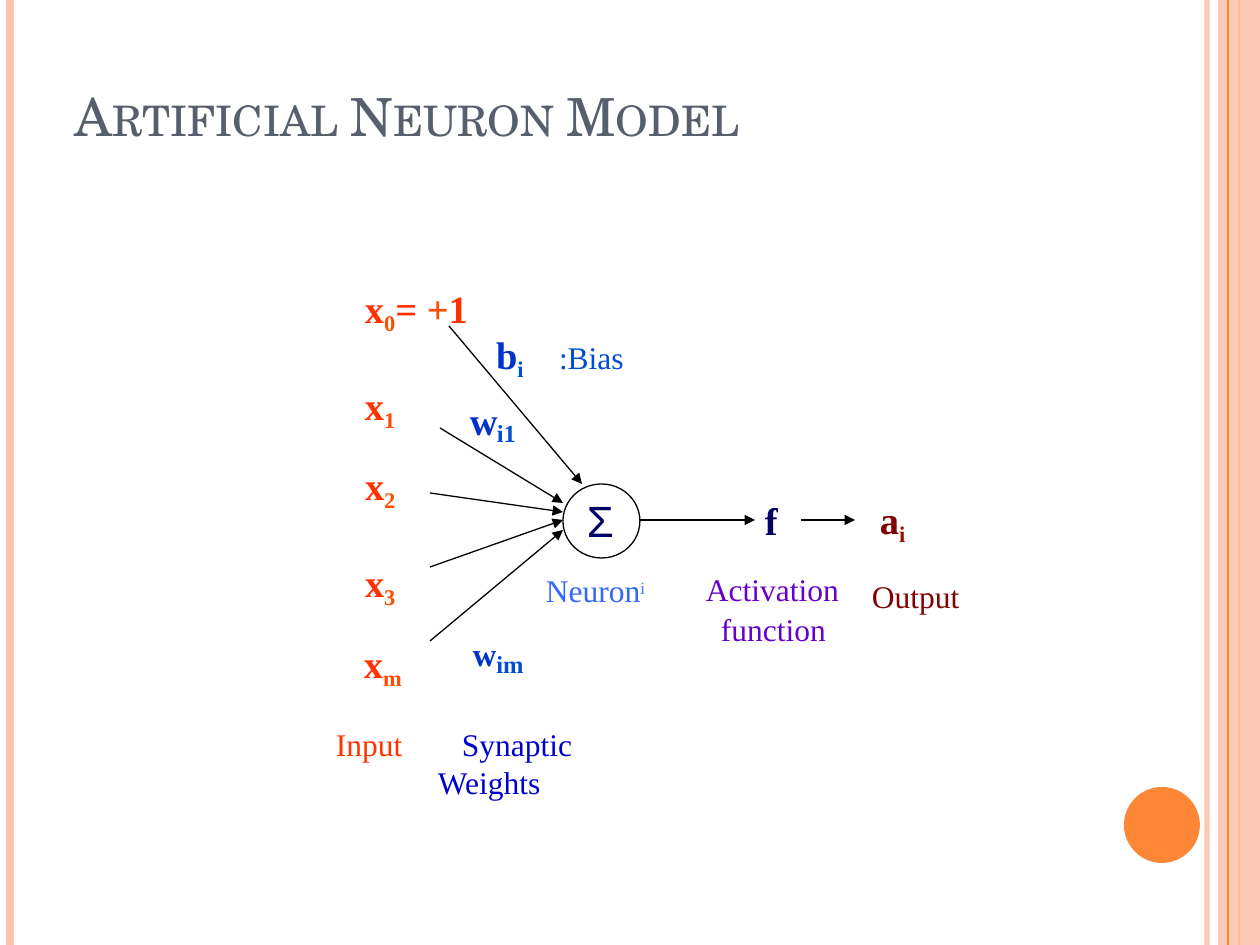
from dataclasses import dataclass

from lxml import etree
from pptx import Presentation
from pptx.dml.color import RGBColor
from pptx.enum.shapes import MSO_CONNECTOR, MSO_SHAPE
from pptx.enum.text import MSO_ANCHOR
from pptx.oxml.ns import qn
from pptx.util import Emu, Pt

STRAIGHT = MSO_CONNECTOR.STRAIGHT
RECTANGLE, OVAL = MSO_SHAPE.RECTANGLE, MSO_SHAPE.OVAL
TOP, BOTTOM = MSO_ANCHOR.TOP, MSO_ANCHOR.BOTTOM

PX_PER_INCH = 126
WIDTH, HEIGHT = 1260, 945
SERIF, SANS, TITLE_FONT = "Times New Roman", "Arial", "TeX Gyre Schola"

BLACK = RGBColor(0x00, 0x00, 0x00)
PEACH = RGBColor(0xFE, 0xC3, 0xAE)
ORANGE = RGBColor(0xFE, 0x86, 0x37)
SLATE = RGBColor(0x57, 0x5F, 0x6D)
RED = RGBColor(0xFF, 0x33, 0x00)
LIGHT_RED = RGBColor(0xFF, 0x4C, 0x00)
BLUE = RGBColor(0x00, 0x33, 0xCC)
LIGHT_BLUE = RGBColor(0x00, 0x4D, 0xD6)
NEURON_BLUE = RGBColor(0x33, 0x66, 0xFF)
INDEX_BLUE = RGBColor(0x41, 0x80, 0xFF)
WEIGHT_BLUE = RGBColor(0x00, 0x00, 0xCC)
NAVY = RGBColor(0x00, 0x00, 0x66)
MAROON = RGBColor(0x80, 0x00, 0x00)
LIGHT_MAROON = RGBColor(0x94, 0x11, 0x00)
PURPLE = RGBColor(0x66, 0x00, 0xCC)


@dataclass(frozen=True)
class Piece:
    text: str
    size: int
    color: RGBColor
    bold: bool = False
    baseline: int = 0
    small_caps: bool = False


@dataclass(frozen=True)
class Line:
    pieces: tuple
    left: int = 1
    first: int = 0
    before: float = 0
    tab: int = 0
    spacing: float = 1.0


@dataclass(frozen=True)
class Label:
    left: int
    top: int
    width: int
    height: int
    lines: tuple
    font: str = SERIF
    anchor: MSO_ANCHOR = TOP


@dataclass(frozen=True)
class Stroke:
    start: tuple
    end: tuple
    color: RGBColor = BLACK
    weight: float = 0.75
    arrow: bool = False
    opacity: int = 100


def px(value: int) -> Emu:
    return Emu(round(value * 914400 / PX_PER_INCH))


def symbol(name: str, index: str, color: RGBColor, index_color: RGBColor) -> tuple:
    return (Piece(name, 22, color, True), Piece(index, 22, index_color, True, -21))


def input_symbol(index: str) -> tuple:
    return symbol("x", index, RED, LIGHT_RED)


def vertical(x: int, color: RGBColor, weight: float, opacity: int = 100) -> Stroke:
    return Stroke((x, 0), (x, HEIGHT), color, weight, opacity=opacity)


def arrow(start: tuple, end: tuple) -> Stroke:
    return Stroke(start, end, arrow=True)


def set_opacity(properties, opacity: int) -> None:
    color = properties.find(".//" + qn("a:srgbClr"))
    etree.SubElement(color, qn("a:alpha"), val=str(opacity * 1000))


def draw_stroke(slide, stroke: Stroke) -> None:
    ends = [px(value) for value in stroke.start + stroke.end]
    connector = slide.shapes.add_connector(STRAIGHT, *ends)
    connector.line.color.rgb = stroke.color
    connector.line.width = Pt(stroke.weight)
    properties = connector._element.spPr
    if stroke.opacity < 100:
        set_opacity(properties, stroke.opacity)
    if stroke.arrow:
        etree.SubElement(properties.find(qn("a:ln")), qn("a:tailEnd"), type="triangle")
    etree.SubElement(properties, qn("a:effectLst"))


def draw_shape(slide, kind: MSO_SHAPE, box: tuple, fill=None, line=None):
    shape = slide.shapes.add_shape(kind, *[px(value) for value in box])
    shape.shadow.inherit = False
    if fill is None:
        shape.fill.background()
    else:
        shape.fill.solid()
        shape.fill.fore_color.rgb = fill
    if line is None:
        shape.line.fill.background()
    else:
        shape.line.color.rgb = line
        shape.line.width = Pt(0.75)
    return shape


def write_line(paragraph, line: Line, font: str) -> None:
    if line.before:
        paragraph.space_before = Pt(line.before)
    if line.spacing != 1.0:
        paragraph.line_spacing = line.spacing
    properties = paragraph._p.get_or_add_pPr()
    properties.set("marL", str(px(line.left)))
    properties.set("indent", str(px(line.first)))
    if line.tab:
        tabs = etree.SubElement(properties, qn("a:tabLst"))
        etree.SubElement(tabs, qn("a:tab"), pos=str(px(line.tab)), algn="l")
    for piece in line.pieces:
        run = paragraph.add_run()
        run.text = piece.text
        run.font.name = font
        run.font.size = Pt(piece.size)
        run.font.bold = piece.bold
        run.font.color.rgb = piece.color
        if piece.baseline:
            run.font._element.set("baseline", str(piece.baseline * 1000))
        if piece.small_caps:
            run.font._element.set("cap", "small")


def draw_label(slide, label: Label) -> None:
    box = (label.left, label.top, label.width, label.height)
    text_frame = slide.shapes.add_textbox(*[px(value) for value in box]).text_frame
    text_frame.word_wrap = True
    text_frame.vertical_anchor = label.anchor
    text_frame.margin_left = text_frame.margin_right = text_frame.margin_bottom = 0
    text_frame.margin_top = px(1)
    for index, line in enumerate(label.lines):
        paragraph = text_frame.add_paragraph() if index else text_frame.paragraphs[0]
        write_line(paragraph, line, label.font)


BARS = (vertical(1207, PEACH, 3, 93), vertical(10, PEACH, 4.5), vertical(1239, ORANGE, 1.5))
ARROWS = (
    arrow((449, 326), (582, 484)),
    arrow((440, 428), (563, 503)),
    arrow((430, 493), (563, 512)),
    arrow((430, 567), (563, 520)),
    arrow((430, 641), (563, 530)),
    arrow((640, 520), (755, 520)),
    arrow((801, 520), (855, 520)),
)
INPUT_ZERO = input_symbol("0") + (
    Piece("= ", 22, RED, True), Piece("+", 22, LIGHT_RED, True), Piece("1", 22, RED, True))
LABELS = (
    Label(74, 81, 806, 66, (Line((Piece("Artificial Neuron Model", 30, SLATE, small_caps=True),)),),
          TITLE_FONT, BOTTOM),
    Label(541, 570, 111, 40, (Line((Piece("Neuron", 18, NEURON_BLUE),
                                    Piece("i", 17, INDEX_BLUE, baseline=26)), 5),)),
    Label(867, 495, 98, 116, (Line(symbol("a", "i", MAROON, LIGHT_MAROON), 13),
                              Line((Piece("Output", 18, MAROON),), 5, before=17))),
    Label(586, 493, 30, 55, (Line((Piece("Σ", 25, NAVY),)),), SANS),
    Label(360, 284, 113, 141, (Line(INPUT_ZERO, 5), Line(input_symbol("1"), 5, before=26.5))),
    Label(360, 461, 42, 141, (Line(input_symbol("2"), 5), Line(input_symbol("3"), 5, before=26.5))),
    Label(330, 639, 260, 160, (
        Line(input_symbol("m"), 34),
        Line((Piece("Input\t", 18, RED), Piece("Synaptic", 18, WEIGHT_BLUE)), 6, before=19.7, tab=112),
        Line((Piece("Weights", 18, WEIGHT_BLUE),), 108))),
    Label(469, 396, 30, 48, (Line((Piece("w", 22, BLUE, True),)),)),
    Label(496, 417, 23, 32, (Line((Piece("i1", 14, LIGHT_BLUE, True),)),)),
    Label(468, 617, 66, 48, (Line((Piece("w", 32, BLUE, True, 14),
                                   Piece("im", 14, LIGHT_BLUE, True)), 5),)),
    Label(704, 567, 137, 81, (Line((Piece("Activation function", 18, PURPLE),), 17, -15, spacing=1.05),)),
    Label(764, 496, 18, 48, (Line((Piece("f", 22, NAVY, True),)),)),
    Label(490, 330, 160, 48, (Line(symbol("b", "i\t", BLUE, LIGHT_BLUE)
                                   + (Piece(":Bias", 18, LIGHT_BLUE),), 6, tab=59),)),
)


def main() -> None:
    presentation = Presentation()
    presentation.slide_width, presentation.slide_height = px(WIDTH), px(HEIGHT)
    slide = presentation.slides.add_slide(presentation.slide_layouts[6])
    for bar in BARS:
        draw_stroke(slide, bar)
    band = draw_shape(slide, RECTANGLE, (1218, 0, 42, HEIGHT), PEACH)
    set_opacity(band._element.spPr, 87)
    draw_stroke(slide, vertical(1228, ORANGE, 0.75))
    draw_shape(slide, OVAL, (1124, 787, 76, 76), ORANGE)
    draw_shape(slide, OVAL, (563, 484, 77, 74), line=BLACK)
    for stroke in ARROWS:
        draw_stroke(slide, stroke)
    for label in LABELS:
        draw_label(slide, label)
    presentation.save("out.pptx")


if __name__ == "__main__":
    main()
